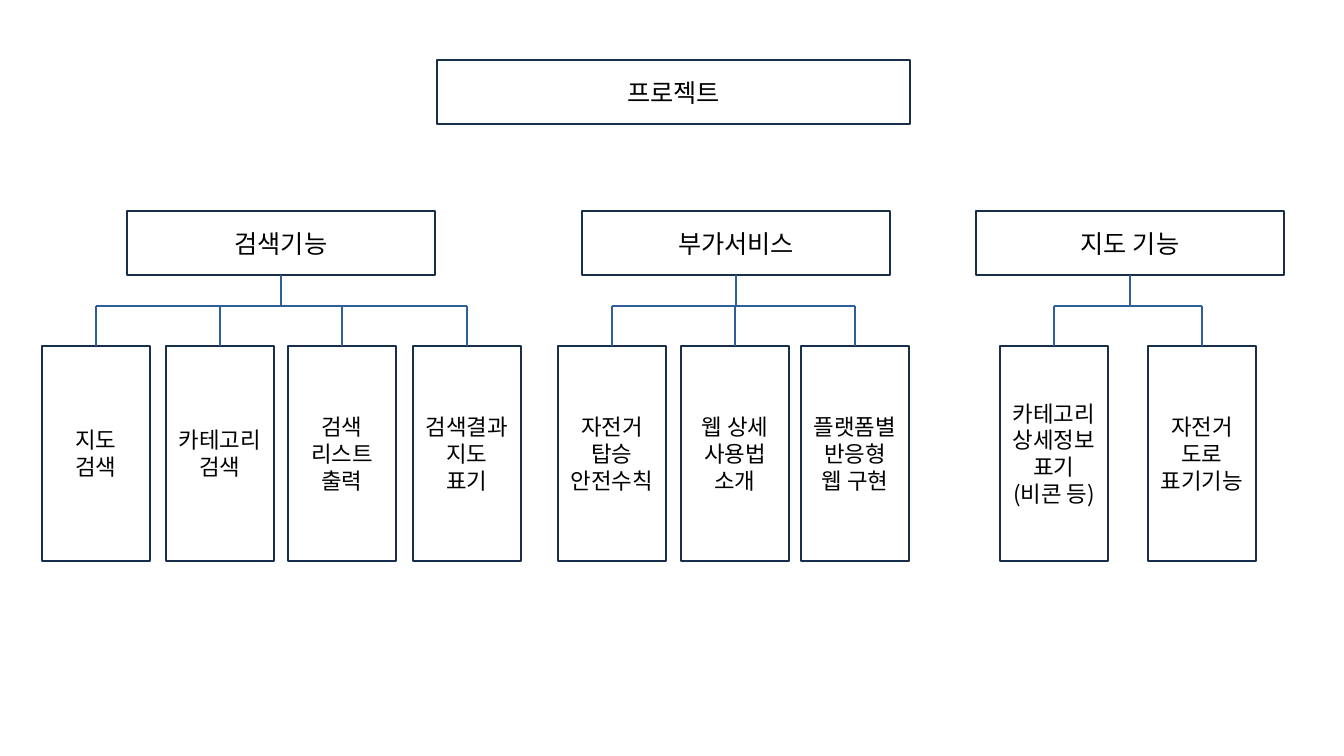
from lxml import etree
from pptx import Presentation
from pptx import util as u
from pptx.dml.color import RGBColor
from pptx.enum import shapes, text
from pptx.oxml.ns import qn

FONT = "Noto Sans CJK KR"
WHITE = RGBColor(0xFF, 0xFF, 0xFF)
BLACK = RGBColor(0x00, 0x00, 0x00)
NAVY = RGBColor(0x18, 0x2F, 0x4B)
BLUE = RGBColor(0x2E, 0x5F, 0x9A)

EMU_PER_PX = 914400 / 100.8
HEAD_TOP, HEAD_W, HEAD_H = 211, 308, 64
BAR_Y = 306
LEAF_TOP, LEAF_W, LEAF_H = 346, 108, 215

GROUPS = [
    ("검색기능", 127, [
        (42, "지도\n검색"),
        (166, "카테고리\n검색"),
        (288, "검색\n리스트\n출력"),
        (413, "검색결과\n지도\n표기"),
    ]),
    ("부가서비스", 582, [
        (558, "자전거\n탑승\n안전수칙"),
        (681, "웹 상세\n사용법\n소개"),
        (801, "플랫폼별\n반응형\n웹 구현"),
    ]),
    ("지도 기능", 976, [
        (1000, "카테고리\n상세정보\n표기\n(비콘 등)"),
        (1148, "자전거\n도로\n표기기능"),
    ]),
]


def px(n):
    return u.Emu(round(n * EMU_PER_PX))


def write(tf, content, size=18, color=BLACK, align=text.PP_ALIGN.CENTER):
    tf.word_wrap = True
    tf.vertical_anchor = text.MSO_ANCHOR.MIDDLE
    tf.text = content
    for p in tf.paragraphs:
        p.alignment = align
        for r in p.runs:
            r.font.size = u.Pt(size)
            r.font.name = FONT
            r.font.color.rgb = color
            ea = etree.SubElement(r.font._element, qn("a:ea"))
            ea.set("typeface", FONT)


def add_box(slide, x, y, w, h, content, size=18):
    sp = slide.shapes.add_shape(
        shapes.MSO_SHAPE.RECTANGLE, px(x), px(y), px(w), px(h))
    sp.shadow.inherit = False
    sp.fill.solid()
    sp.fill.fore_color.rgb = WHITE
    sp.line.color.rgb = NAVY
    sp.line.width = u.Pt(1.5)
    write(sp.text_frame, content, size=size)


def add_line(slide, x1, y1, x2, y2):
    line = slide.shapes.add_connector(
        shapes.MSO_CONNECTOR.STRAIGHT, px(x1), px(y1), px(x2), px(y2))
    line.line.color.rgb = BLUE
    line.line.width = u.Pt(1)
    etree.SubElement(line._element.spPr, qn("a:effectLst"))


def add_group(slide, heading, left, leaves):
    add_box(slide, left, HEAD_TOP, HEAD_W, HEAD_H, heading)
    for x, content in leaves:
        add_box(slide, x, LEAF_TOP, LEAF_W, LEAF_H, content, size=16)
    stem = left + HEAD_W // 2
    centers = [x + LEAF_W // 2 for x, _ in leaves]
    add_line(slide, stem, HEAD_TOP + HEAD_H, stem, BAR_Y)
    add_line(slide, centers[0], BAR_Y, centers[-1], BAR_Y)
    for center in centers:
        add_line(slide, center, BAR_Y, center, LEAF_TOP)


def main():
    prs = Presentation()
    prs.slide_width, prs.slide_height = px(1344), px(756)
    slide = prs.slides.add_slide(prs.slide_layouts[6])
    add_box(slide, 437, 60, 473, HEAD_H, "프로젝트")
    for heading, left, leaves in GROUPS:
        add_group(slide, heading, left, leaves)
    prs.save("out.pptx")


main()
